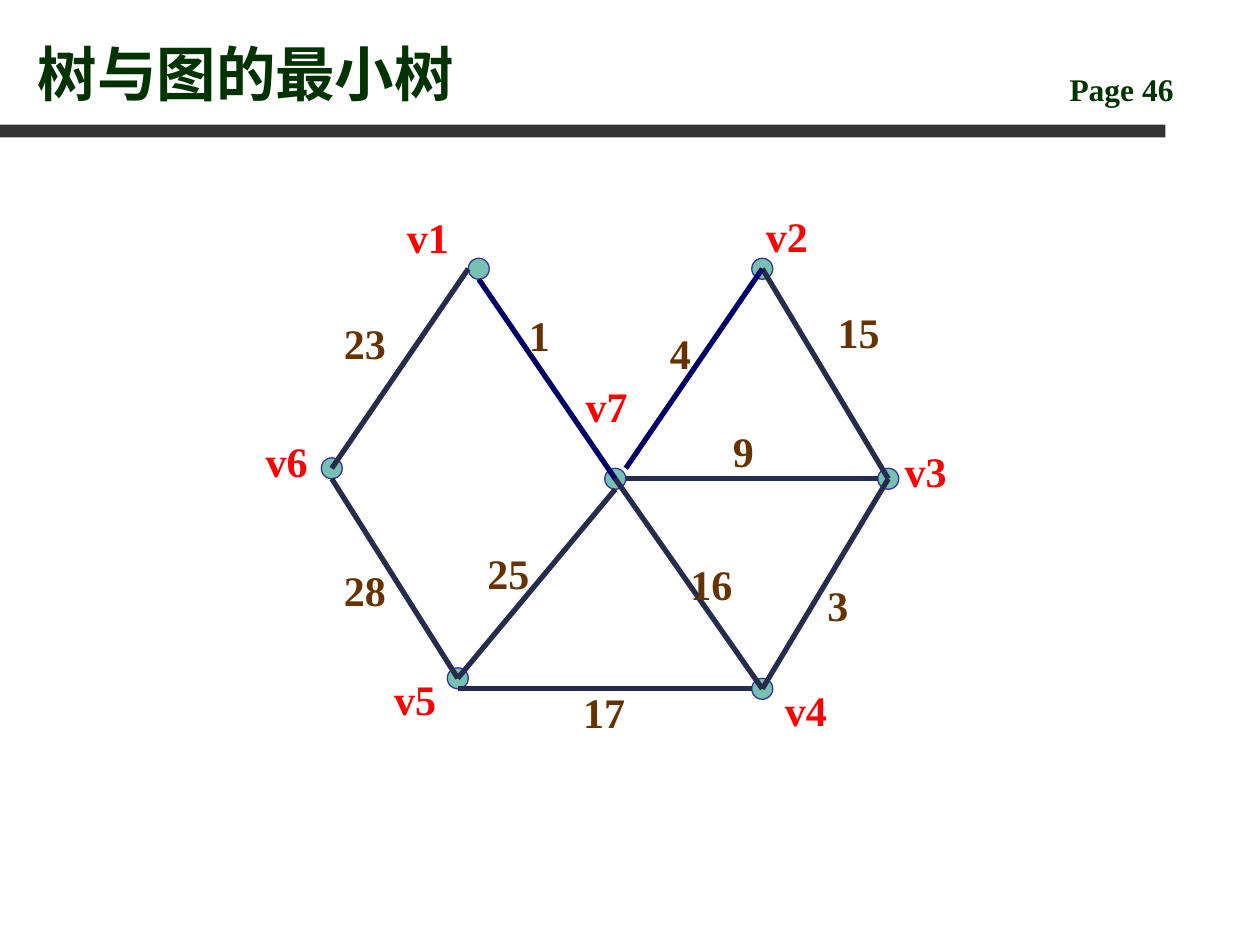
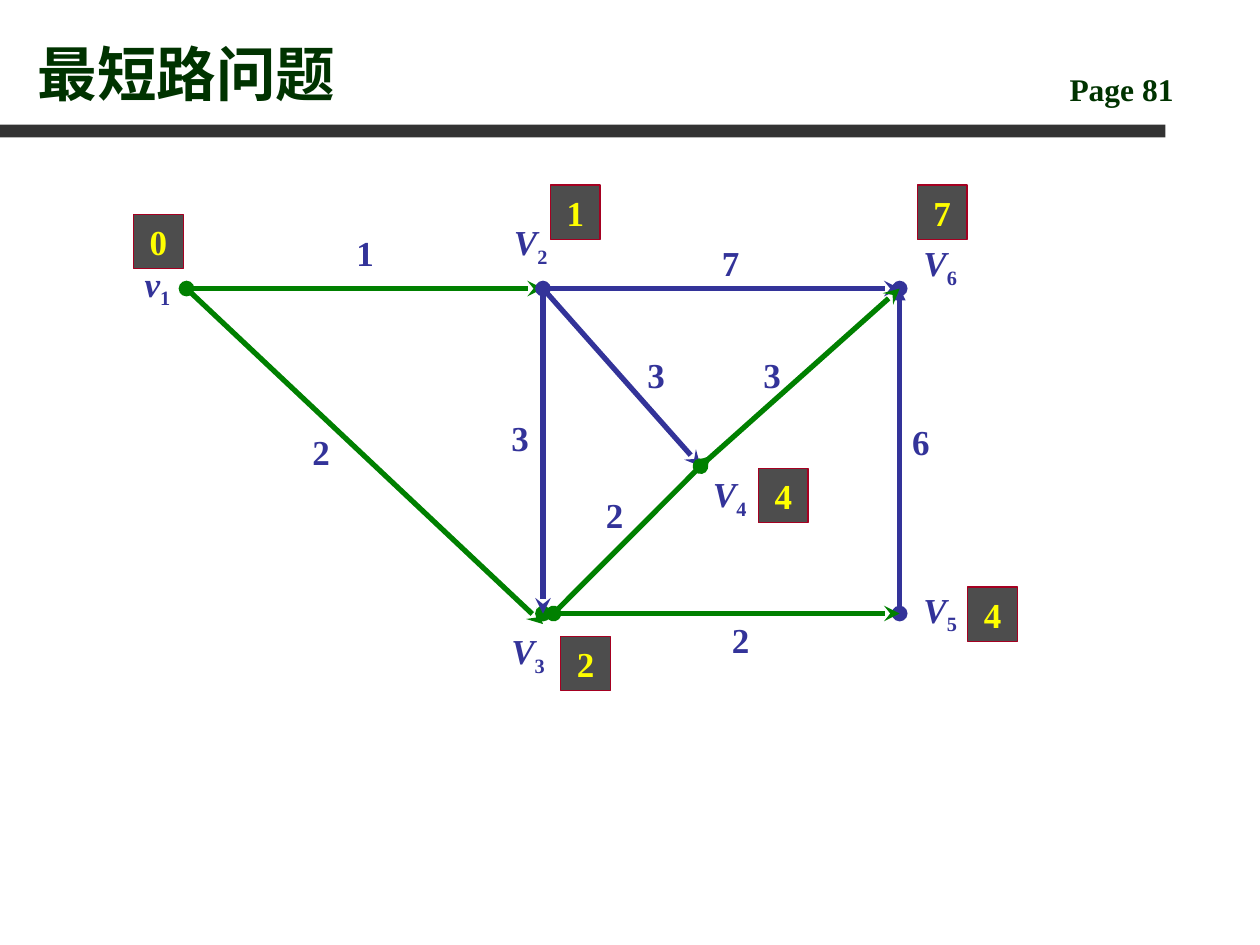
from lxml import etree
from pptx import Presentation
from pptx.dml.color import RGBColor
from pptx.enum.shapes import MSO_CONNECTOR as CONNECTOR, MSO_SHAPE as SHAPE
from pptx.enum.text import MSO_ANCHOR as ANCHOR, MSO_AUTO_SIZE as AUTO_SIZE, PP_ALIGN as ALIGN
from pptx.oxml.ns import qn
from pptx.util import Pt

COLORS = {
    "heading": "003300", "band": "333333", "node": "78C0B2", "indigo": "333399",
    "edge": "262D4C", "tree": "000066", "vertex": "FF0000", "weight": "663300",
    "path": "008000", "badge": "4D4D4D", "badge_line": "A50021", "distance": "FFFF00",
}
FONT = "Times New Roman"

# Minimum tree: centres, label corners, and edges whose ends may be shifted off the centre
RADIUS = 6
TREE_NODES = {
    "v7": (351.6, 273.6), "v4": (435.6, 393.6), "v5": (261.6, 387.6), "v2": (435.6, 153.6),
    "v3": (507.6, 273.6), "v6": (189.6, 267.6), "v1": (273.6, 153.6),
}
CENTER, LEFT, RIGHT, BELOW, CORNER = (0, 0), (-1, 0), (1, 0), (0, 1), (1, -1)
TREE_EDGES = [
    ("v1", LEFT, "v6", CENTER, "edge"),
    ("v2", CENTER, "v3", CENTER, "edge"),
    ("v1", BELOW, "v7", CENTER, "tree"),
    ("v2", CENTER, "v7", CORNER, "tree"),
    ("v7", RIGHT, "v3", LEFT, "edge"),
    ("v6", BELOW, "v5", CENTER, "edge"),
    ("v7", BELOW, "v5", CENTER, "edge"),
    ("v7", CENTER, "v4", CENTER, "edge"),
    ("v5", BELOW, "v4", LEFT, "edge"),
    ("v3", CENTER, "v4", CENTER, "edge"),
]
TREE_LABELS = {
    "vertex": [("v1", 225.4, 117.4), ("v7", 327.6, 213.8), ("v4", 441.4, 387.4),
               ("v3", 509.8, 251.3), ("v2", 430.6, 116.6), ("v5", 218.2, 381.6),
               ("v6", 144.7, 245.5)],
    "weight": [("15", 471.6, 171.4), ("9", 411.8, 239.8), ("16", 387.4, 315.4),
               ("25", 271.4, 309.6), ("3", 465.8, 327.6), ("28", 189.4, 319),
               ("17", 326.2, 388.8), ("4", 375.8, 183.6), ("1", 295.2, 173.5),
               ("23", 189.4, 177.8)],
}

# Shortest path
ROUTE_NODES = {
    "v1": (106.6, 164.9), "v2": (310.3, 164.9), "v6": (514.1, 164.9),
    "v3": (310.3, 350.6), "v5": (514.1, 350.6), "v4": (400.3, 266.4),
}
ROUTE_EDGES = [
    ("v1", CENTER, "v2", CENTER, "path", 3, "oval", "stealth"),
    ("v2", CENTER, "v6", CENTER, "indigo", 3, "oval", "stealth"),
    ("v6", CENTER, "v5", CENTER, "indigo", 3, "oval", "oval"),
    ("v6", CENTER, "v5", CENTER, "indigo", 2.25, "triangle", None),
    ("v3", CENTER, "v5", CENTER, "path", 3, "oval", "stealth"),
    ("v2", CENTER, "v4", CENTER, "indigo", 3, None, "stealth"),
    ("v3", RIGHT, "v4", CORNER, "path", 3, "oval", "stealth"),
    ("v4", CENTER, "v6", CENTER, "path", 3, "oval", "stealth"),
    ("v2", CENTER, "v3", CENTER, "indigo", 3, None, "stealth"),
    ("v1", CENTER, "v3", BELOW, "path", 3, None, "stealth"),
]
ROUTE_VERTICES = [("v", "1", 75.6, 146.2), ("V", "2", 286.6, 122.4), ("V", "3", 285.1, 356.4),
                  ("V", "4", 400.3, 266.4), ("V", "6", 520.6, 134.6), ("V", "5", 520.6, 332.6)]
ROUTE_WEIGHTS = [("3", 285.1, 234.7), ("2", 339.1, 278.6), ("2", 171.4, 242.6),
                 ("7", 405.4, 134.6), ("6", 514.1, 236.9), ("2", 411.1, 349.9),
                 ("1", 196.6, 128.9), ("3", 362.9, 198.7), ("3", 429.1, 198.7)]
DISTANCES = [("0", 76.3, 122.4), ("2", 320.4, 363.6), ("4", 553, 335.5),
             ("7", 524.2, 105.8), ("1", 314.6, 105.8), ("4", 433.4, 267.8)]


def rgb(color):
    return RGBColor.from_string(COLORS[color])


def add_run(paragraph, text, size, color, **extra):
    run = paragraph.add_run()
    run.text = text
    for key, value in {"name": FONT, "size": Pt(size), "bold": True, **extra}.items():
        setattr(run.font, key, value)
    run.font.color.rgb = rgb(color)
    return run


def add_shape(slide, kind, box, fill, line=None):
    shape = slide.shapes.add_shape(kind, *map(Pt, box))
    shape.shadow.inherit = False
    shape.fill.solid()
    shape.fill.fore_color.rgb = rgb(fill)
    if line:
        shape.line.color.rgb = rgb(line)
        shape.line.width = Pt(0.75)
    else:
        shape.line.fill.background()
    return shape


def add_label(slide, box, text, size, color, align=ALIGN.LEFT, **extra):
    label = slide.shapes.add_textbox(*map(Pt, box))
    label.text_frame.word_wrap = True
    paragraph = label.text_frame.paragraphs[0]
    paragraph.alignment = align
    add_run(paragraph, text, size, color, **extra)
    return paragraph


def add_edge(slide, nodes, start, start_side, end, end_side, color,
             width=3, head=None, tail=None):
    """Draw a line between two nodes; each side is a shift in node radii."""
    ends = [Pt(centre + RADIUS * shift)
            for node, side in ((start, start_side), (end, end_side))
            for centre, shift in zip(nodes[node], side)]
    edge = slide.shapes.add_connector(CONNECTOR.STRAIGHT, *ends)
    edge.line.color.rgb = rgb(color)
    edge.line.width = Pt(width)
    properties = edge.line._get_or_add_ln()
    for tag, arrow in (("a:headEnd", head), ("a:tailEnd", tail)):
        if arrow:
            etree.SubElement(properties, qn(tag), type=arrow)
    etree.SubElement(properties.getparent(), qn("a:effectLst"))


def add_page(deck, heading, number):
    slide = deck.slides.add_slide(deck.slide_layouts[5])
    add_shape(slide, SHAPE.RECTANGLE, (0, 71.3, 666, 7.2), "band")
    add_label(slide, (604.1, 36.7, 102.2, 28.8), f"Page {number}", 18, "heading")
    title = slide.shapes.title
    for side, length in zip(("left", "top", "width", "height"), (14.4, 9.4, 578.2, 56.2)):
        setattr(title, side, Pt(length))
    title.text_frame.vertical_anchor = ANCHOR.BOTTOM
    title.text_frame.auto_size = AUTO_SIZE.NONE
    paragraph = title.text_frame.paragraphs[0]
    paragraph.alignment = ALIGN.LEFT
    add_run(paragraph, heading, 34, "heading")
    return slide


def build_tree(deck):
    slide = add_page(deck, "树与图的最小树", 46)
    for x, y in TREE_NODES.values():
        add_shape(slide, SHAPE.OVAL, (x - RADIUS, y - RADIUS, 2 * RADIUS, 2 * RADIUS),
                  "node", "indigo")
    for edge in TREE_EDGES:
        add_edge(slide, TREE_NODES, *edge)
    for color, labels in TREE_LABELS.items():
        for text, x, y in labels:
            add_label(slide, (x, y, 42, 36), text, 24, color)


def build_route(deck):
    slide = add_page(deck, "最短路问题", 81)
    for edge in ROUTE_EDGES:
        add_edge(slide, ROUTE_NODES, *edge)
    for letter, index, x, y in ROUTE_VERTICES:
        name = add_label(slide, (x, y, 92, 60.5), letter, 20, "indigo", ALIGN.JUSTIFY, italic=True)
        subscript = add_run(name, index, 20, "indigo")
        subscript.font._element.set("baseline", "-25000")
    for text, x, y in ROUTE_WEIGHTS:
        add_label(slide, (x, y, 61.2, 60.5), text, 20, "indigo", ALIGN.JUSTIFY)
    for text, x, y in DISTANCES:
        badge = add_shape(slide, SHAPE.RECTANGLE, (x, y, 28.4, 31), "badge", "badge_line")
        badge.text_frame.vertical_anchor = ANCHOR.TOP
        paragraph = badge.text_frame.paragraphs[0]
        paragraph.alignment = ALIGN.CENTER
        add_run(paragraph, text, 20, "distance")


def main():
    deck = Presentation()
    deck.slide_width, deck.slide_height = Pt(720), Pt(540)
    build_tree(deck)
    build_route(deck)
    deck.save("out.pptx")


if __name__ == "__main__":
    main()
